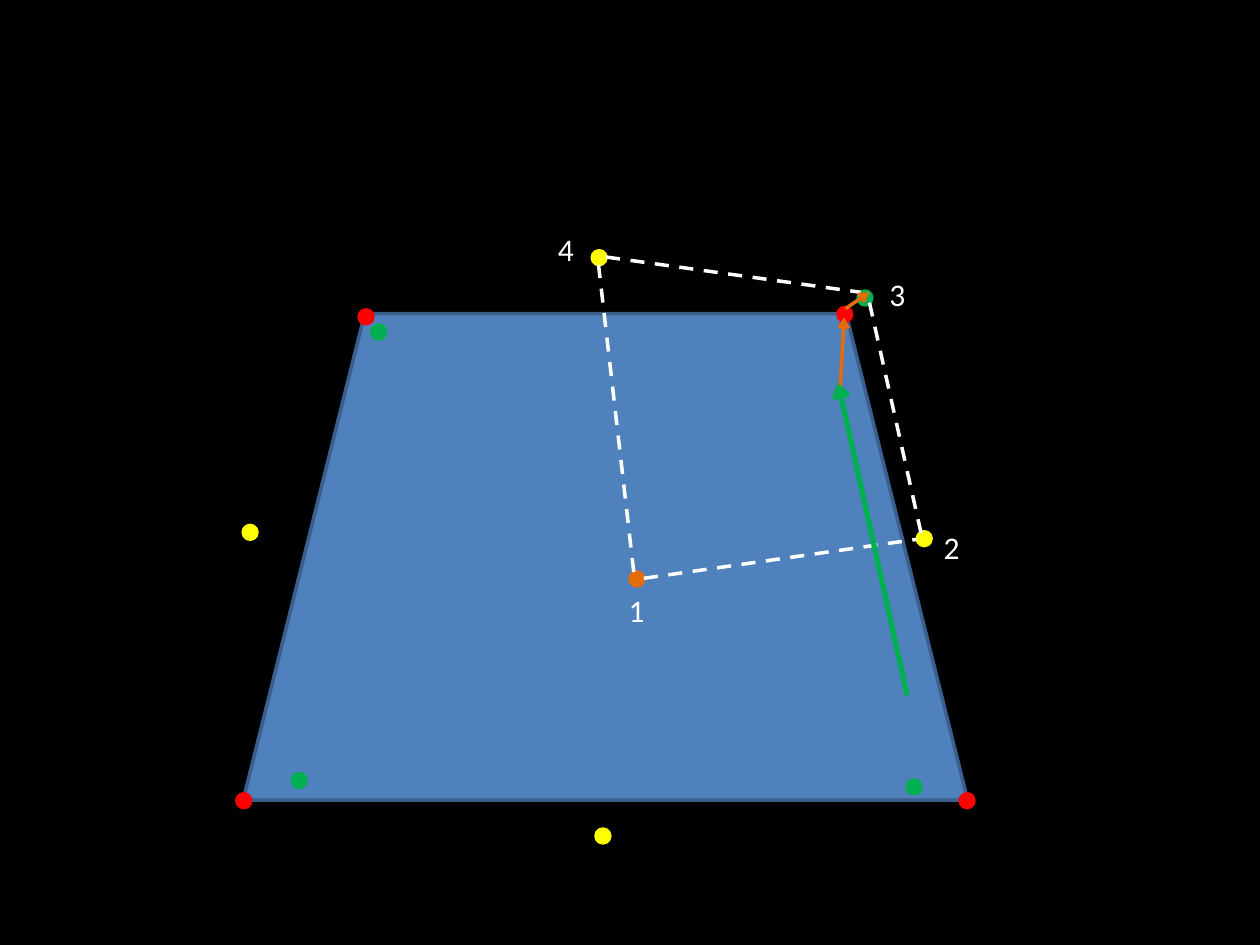
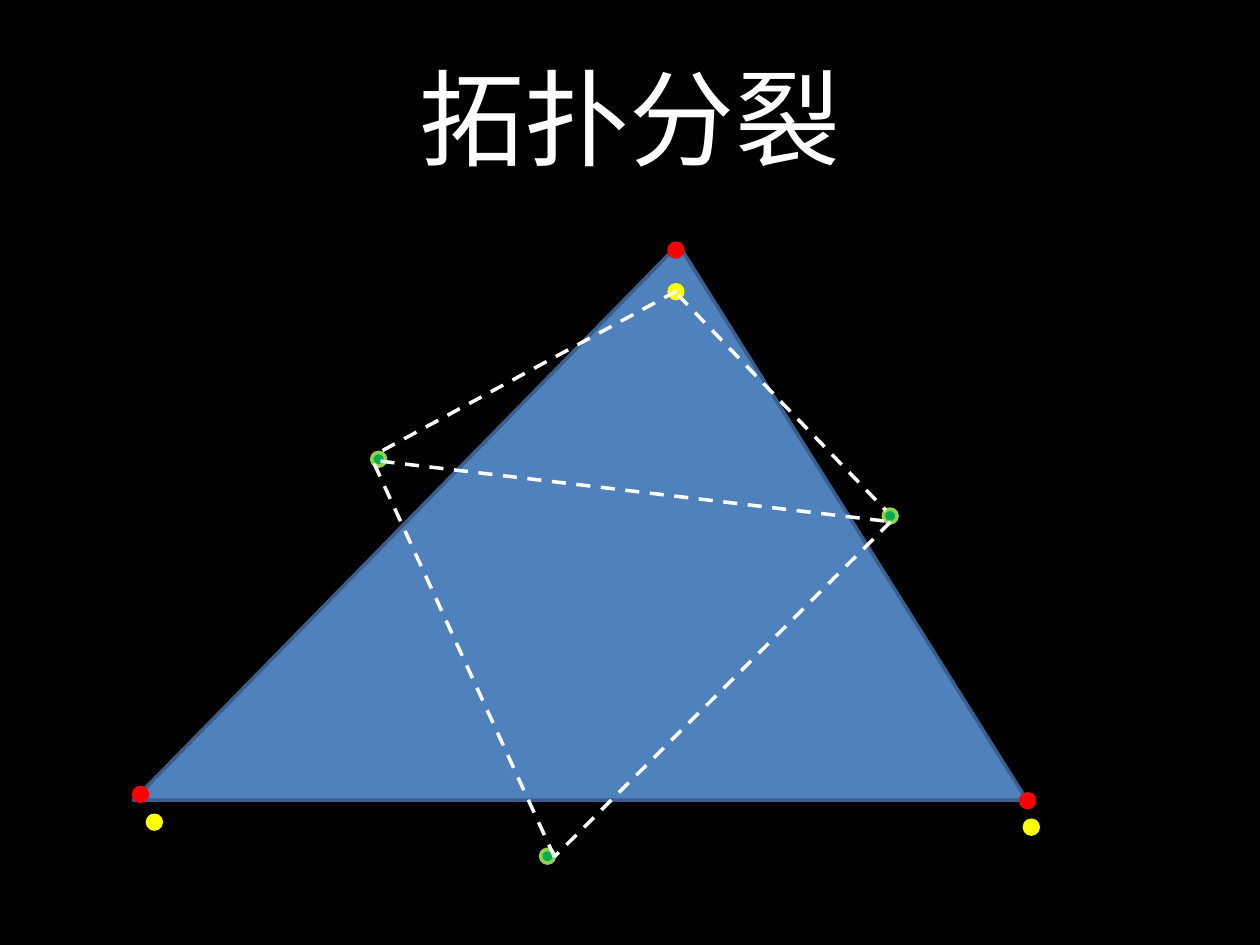
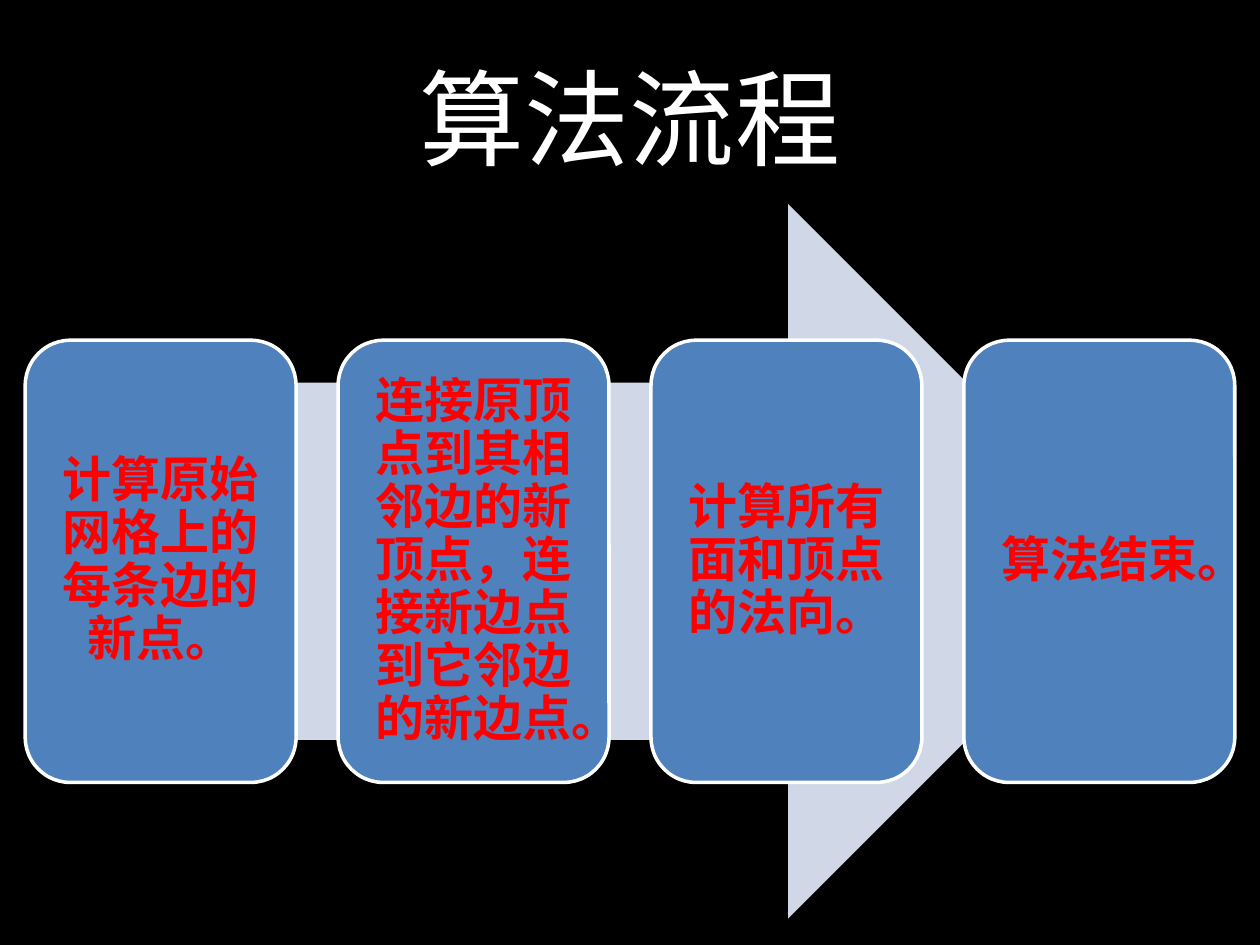
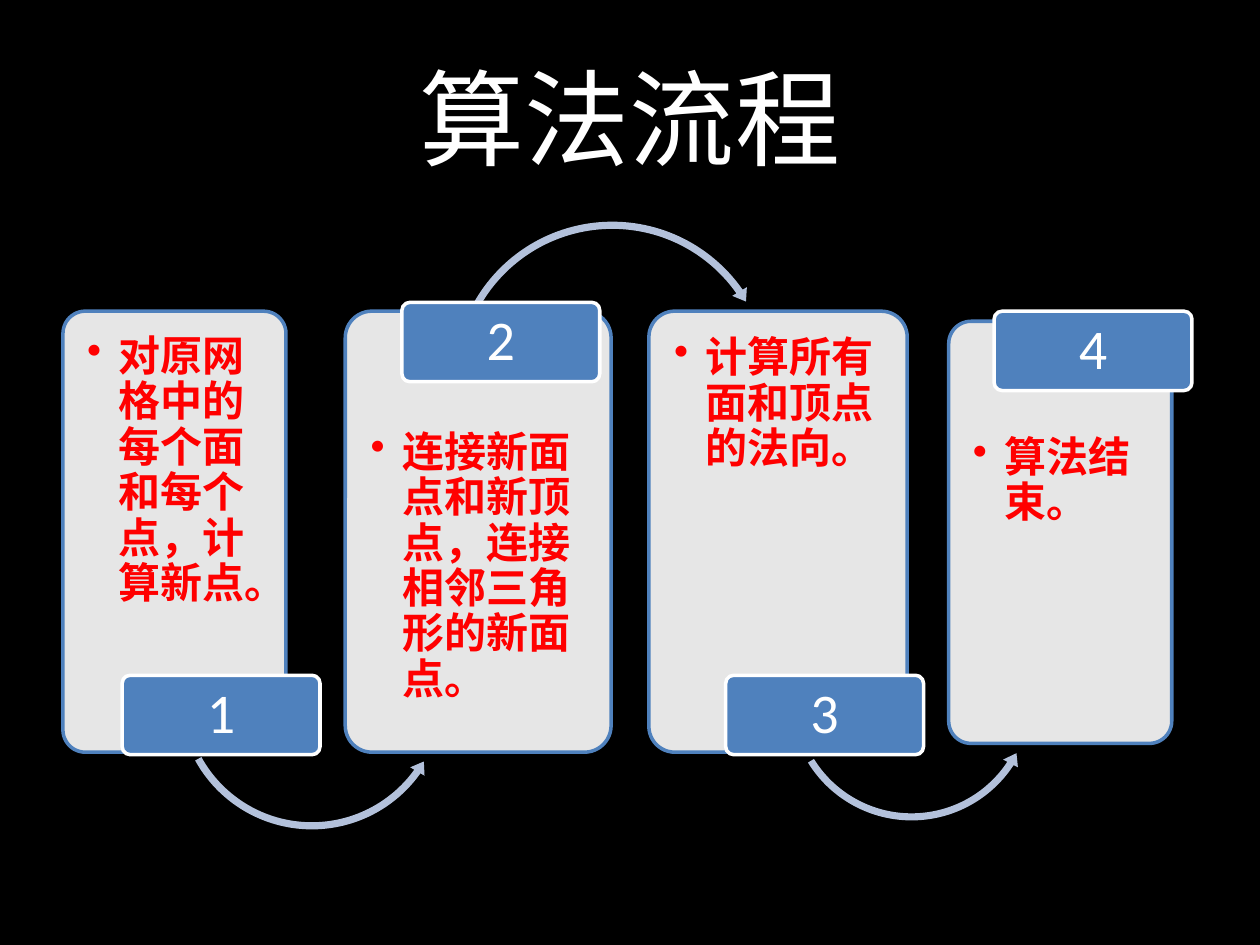
from lxml import etree
from pptx import Presentation
from pptx.dml.color import RGBColor
from pptx.enum.dml import MSO_LINE
from pptx.enum.shapes import MSO_CONNECTOR, MSO_SHAPE
from pptx.enum.text import MSO_ANCHOR, MSO_AUTO_SIZE, PP_ALIGN
from pptx.oxml.ns import qn
from pptx.util import Inches, Pt

BLACK = RGBColor(0x00, 0x00, 0x00)
WHITE = RGBColor(0xFF, 0xFF, 0xFF)
RED = RGBColor(0xFF, 0x00, 0x00)
YELLOW = RGBColor(0xFF, 0xFF, 0x00)
GREEN = RGBColor(0x00, 0xB0, 0x50)
LIME = RGBColor(0x92, 0xD0, 0x50)
ORANGE = RGBColor(0xE4, 0x6C, 0x0A)
BLUE = RGBColor(0x4F, 0x81, 0xBD)
DARK_BLUE = RGBColor(0x3A, 0x5F, 0x8C)
PALE_BLUE = RGBColor(0xD0, 0xD8, 0xE8)
ARC_BLUE = RGBColor(0xB3, 0xC1, 0xDB)

LATIN, CJK = "Calibri", "Noto Sans CJK SC"
DOT = 0.11

# Face with its vertices, new points and displacement arrows
FACE_DOTS = [  # left, top, fill
    (2.85, 2.46, RED), (6.65, 2.44, RED), (1.88, 6.3, RED), (7.62, 6.3, RED),
    (4.7, 1.99, YELLOW), (7.28, 4.22, YELLOW), (5, 4.54, ORANGE),
    (1.93, 4.17, YELLOW), (4.73, 6.58, YELLOW),
    (2.95, 2.58, GREEN), (6.81, 2.31, GREEN), (7.2, 6.19, GREEN), (2.32, 6.14, GREEN),
]
FACE_EDGES = [
    ((5.11, 4.59), (7.28, 4.28)), ((5.03, 4.54), (4.75, 2.1)),
    ((4.81, 2.04), (6.83, 2.32)), ((7.31, 4.23), (6.9, 2.4)),
]
FACE_ARROWS = [
    ((7.2, 5.52), (6.65, 3.03), GREEN, 3),
    ((6.67, 3.06), (6.7, 2.52), ORANGE, 2),
    ((6.71, 2.45), (6.9, 2.32), ORANGE, 2),
]
FACE_LABELS = [("1", 4.89, 4.64), ("4", 4.33, 1.78), ("3", 6.96, 2.13), ("2", 7.39, 4.14)]

# Topological split of a triangle
SPLIT_TITLE = "拓扑分裂"
SPLIT_DOTS = [  # left, top, fill, line
    (5.31, 1.93, RED), (1.06, 6.25, RED), (8.1, 6.3, RED), (5.31, 2.26, YELLOW),
    (7.01, 4.04, GREEN, LIME), (1.17, 6.47, YELLOW), (8.13, 6.51, YELLOW),
    (4.29, 6.74, GREEN, LIME), (2.95, 3.59, GREEN, LIME),
]
SPLIT_EDGES = [
    ((3.02, 3.66), (7.06, 4.14)), ((5.38, 2.34), (7.03, 4.05)),
    ((5.37, 2.31), (3.01, 3.59)), ((2.97, 3.68), (4.4, 6.8)),
    ((7.07, 4.14), (4.4, 6.8)),
]

# Algorithm flows
FLOW_TITLE = "算法流程"
EDGE_STEPS = [
    "计算原始网格上的每条边的新点。",
    "连接原顶点到其相邻边的新顶点，连接新边点到它邻边的新边点。",
    "计算所有面和顶点的法向。",
    "算法结束。",
]
FACE_STEPS = [  # text, card box, left and top of the number tag
    ("对原网格中的每个面和每个点，计算新点。", (0.5, 2.47, 1.77, 3.5), (0.97, 5.36)),
    ("连接新面点和新顶点，连接相邻三角形的新面点。", (2.74, 2.47, 2.11, 3.5), (3.19, 2.4)),
    ("计算所有面和顶点的法向。", (5.15, 2.47, 2.05, 3.5), (5.76, 5.36)),
    ("算法结束。", (7.53, 2.55, 1.77, 3.35), (7.89, 2.47)),
]
ARCS = [  # preset, left, top, size, rotation, adjustments
    (MSO_SHAPE.LEFT_CIRCULAR_ARROW, 1.38, 4.43, 2.19, 23.8,
     (0.026, 3.154, 7.045, 76.381, 0.03)),
    (MSO_SHAPE.CIRCULAR_ARROW, 3.56, 1.72, 2.6, 338.1,
     (0.022, 2.636, 208.161, 138.308, 0.026)),
    (MSO_SHAPE.LEFT_CIRCULAR_ARROW, 6.23, 4.54, 2.01, 23.4,
     (0.028, 3.457, 5.901, 74.934, 0.033)),
]


def write(s, text, size, color=WHITE, font=LATIN, bold=False, align=None,
          anchor=MSO_ANCHOR.TOP, insets=(0.1, 0.05, 0.1, 0.05), spacing=None, bullet=False):
    tf = s.text_frame
    tf.word_wrap = True
    tf.vertical_anchor = anchor
    tf.margin_left, tf.margin_top, tf.margin_right, tf.margin_bottom = map(Inches, insets)
    p = tf.paragraphs[0]
    p.alignment = align
    p.line_spacing = spacing
    if bullet:
        p.level = 1
        pPr = p._p.get_or_add_pPr()
        pPr.set("marL", str(Inches(0.25)))
        pPr.set("indent", str(Inches(-0.25)))
        etree.SubElement(pPr, qn("a:buChar")).set("char", "•")
    r = p.add_run()
    r.text = text
    r.font.size, r.font.bold, r.font.name = Pt(size), bold, font
    r.font.color.rgb = color
    etree.SubElement(r._r.get_or_add_rPr(), qn("a:ea")).set("typeface", CJK)
    return tf


def add_box(slide, preset, box, fill, line=None, adjust=(), alpha=None):
    s = slide.shapes.add_shape(preset, *map(Inches, box))
    s.shadow.inherit = False
    s.fill.solid()
    s.fill.fore_color.rgb = fill
    if alpha:
        color = s._element.spPr.find(qn("a:solidFill"))[0]
        etree.SubElement(color, qn("a:alpha")).set("val", str(alpha * 1000))
    if line is None:
        s.line.fill.background()
    else:
        s.line.color.rgb = line
        s.line.width = Pt(2)
    for i, value in enumerate(adjust):
        s.adjustments[i] = value
    return s


def add_dots(slide, dots):
    for left, top, fill, *line in dots:
        add_box(slide, MSO_SHAPE.FLOWCHART_CONNECTOR, (left, top, DOT, DOT), fill,
                line[0] if line else fill)


def add_line(slide, start, end, color=WHITE, width=2, arrow=False):
    """Draw a solid arrow or a dashed edge."""
    s = slide.shapes.add_connector(MSO_CONNECTOR.STRAIGHT, *map(Inches, (*start, *end)))
    s.line.color.rgb = color
    s.line.width = Pt(width)
    if arrow:
        etree.SubElement(s.line._get_or_add_ln(), qn("a:tailEnd")).set("type", "arrow")
    else:
        s.line.dash_style = MSO_LINE.DASH
    etree.SubElement(s._element.spPr, qn("a:effectLst"))


def add_text(slide, box, text, size, **fmt):
    s = slide.shapes.add_textbox(*map(Inches, box))
    return write(s, text, size, **fmt)


def add_slide(prs, title=None):
    slide = prs.slides.add_slide(prs.slide_layouts[6])
    slide.background.fill.solid()
    slide.background.fill.fore_color.rgb = BLACK
    if title:
        add_text(slide, (0.5, 0.3, 9, 1.25), title, 60, font=CJK,
                 align=PP_ALIGN.CENTER, anchor=MSO_ANCHOR.MIDDLE)
    return slide


def build_face(prs):
    slide = add_slide(prs)
    add_box(slide, MSO_SHAPE.TRAPEZOID, (1.93, 2.49, 5.75, 3.86), BLUE, DARK_BLUE)
    add_dots(slide, FACE_DOTS)
    for start, end in FACE_EDGES:
        add_line(slide, start, end)
    for text, left, top in FACE_LABELS:
        tf = add_text(slide, (left, top, 0.85, 0.4), text, 18)
        tf.auto_size = MSO_AUTO_SIZE.SHAPE_TO_FIT_TEXT
    for start, end, color, width in FACE_ARROWS:
        add_line(slide, start, end, color, width, arrow=True)


def build_split(prs):
    slide = add_slide(prs, SPLIT_TITLE)
    add_box(slide, MSO_SHAPE.ISOSCELES_TRIANGLE, (1.06, 1.94, 7.09, 4.41), BLUE,
            DARK_BLUE, adjust=(0.61,))
    add_dots(slide, SPLIT_DOTS)
    for start, end in SPLIT_EDGES:
        add_line(slide, start, end)


def build_edge_flow(prs):
    slide = add_slide(prs, FLOW_TITLE)
    add_box(slide, MSO_SHAPE.RIGHT_ARROW, (0.92, 1.62, 8.17, 5.67), PALE_BLUE)
    left, width = 0.2, 2.15
    pitch = (10 - 2 * left - width) / (len(EDGE_STEPS) - 1)
    for i, text in enumerate(EDGE_STEPS):
        s = add_box(slide, MSO_SHAPE.ROUNDED_RECTANGLE,
                    (left + i * pitch, 2.7, width, 3.51), BLUE, WHITE)
        write(s, text, 28, color=RED, font=CJK, bold=True, align=PP_ALIGN.CENTER,
              anchor=MSO_ANCHOR.MIDDLE, insets=(0.12,) * 4, spacing=0.9)


def build_face_flow(prs):
    slide = add_slide(prs, FLOW_TITLE)
    pad = 0.14
    for i, (text, card, tag) in enumerate(FACE_STEPS):
        s = add_box(slide, MSO_SHAPE.ROUNDED_RECTANGLE, card, WHITE, BLUE, (0.1,), alpha=90)
        room = pad + card[3] * 3 / 14  # kept free for the tag
        top, bottom = (pad, room) if i % 2 == 0 else (room, pad)
        write(s, text, 24, color=RED, font=CJK, bold=True, align=PP_ALIGN.LEFT,
              insets=(pad, top, pad, bottom), spacing=0.9, bullet=True)
        if i < len(ARCS):
            preset, x, y, size, rotation, adjust = ARCS[i]
            arc = add_box(slide, preset, (x, y, size, size), ARC_BLUE, adjust=adjust)
            arc.rotation = rotation
        s = add_box(slide, MSO_SHAPE.ROUNDED_RECTANGLE, (*tag, 1.57, 0.63), BLUE, WHITE, (0.1,))
        write(s, str(i + 1), 32, align=PP_ALIGN.CENTER, anchor=MSO_ANCHOR.MIDDLE,
              insets=(0.07, 0.04, 0.07, 0.04), spacing=0.9)


def main():
    prs = Presentation()
    prs.slide_width, prs.slide_height = Inches(10), Inches(7.5)
    for build in (build_face, build_split, build_edge_flow, build_face_flow):
        build(prs)
    prs.save("out.pptx")


if __name__ == "__main__":
    main()
